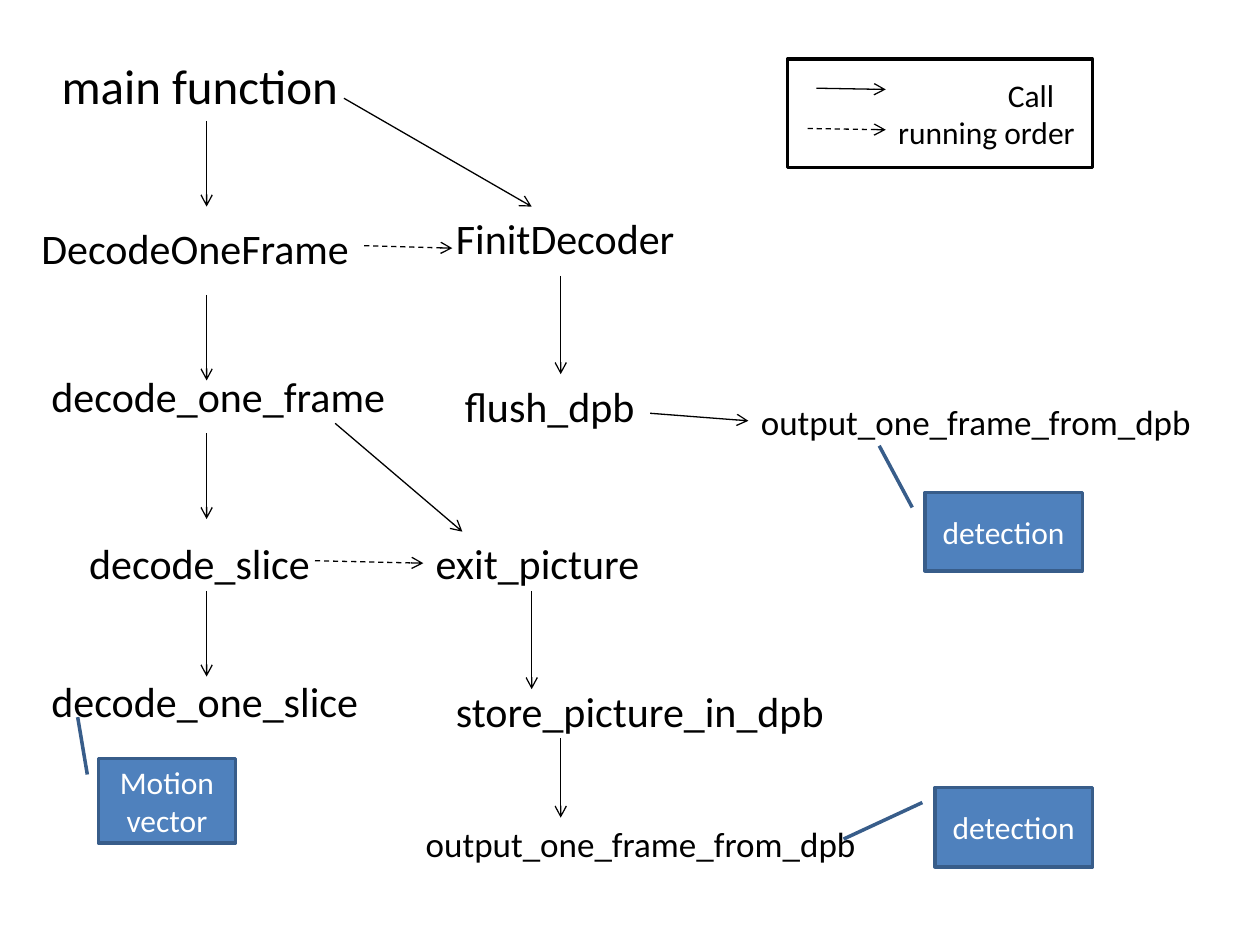
from pptx import Presentation
from pptx.dml.color import RGBColor
from pptx.enum.dml import MSO_LINE
from pptx.enum.shapes import MSO_CONNECTOR, MSO_SHAPE
from pptx.enum.text import MSO_ANCHOR, PP_ALIGN
from pptx.oxml.ns import qn
from pptx.util import Inches, Pt
from lxml.etree import SubElement

COLORS = {"ink": "000000", "paper": "FFFFFF", "note": "4F81BD", "note_edge": "385D8A"}

# text, left, top, width, size
FUNCTIONS = [
    ("main function", 0.39, 0.39, 2.5, 28),
    ("DecodeOneFrame", 0.23, 1.72, 3.13, 24),
    ("decode_one_frame", 0.31, 2.89, 2.89, 24),
    ("decode_slice", 0.61, 4.22, 2.5, 24),
    ("decode_one_slice", 0.31, 5.31, 2.73, 24),
    ("FinitDecoder", 3.52, 1.64, 2.5, 24),
    ("flush_dpb", 3.59, 2.97, 1.88, 24),
    ("exit_picture", 3.36, 4.22, 2.42, 24),
    ("store_picture_in_dpb", 3.52, 5.39, 3.44, 24),
    ("output_one_frame_from_dpb", 3.28, 6.48, 3.75, 20),
    ("output_one_frame_from_dpb", 5.94, 3.13, 4.06, 20),
]

MAIN_X, MAIN_DROP = 1.64, 0.68
CALLS = [(MAIN_X, y, MAIN_X, y + MAIN_DROP) for y in (0.96, 2.34, 3.44, 4.69)] + [
    (2.73, 0.78, 4.22, 1.64),
    (2.66, 3.36, 3.67, 4.22),
    (4.45, 2.19, 4.45, 2.97),
    (4.22, 4.69, 4.22, 5.47),
    (4.45, 5.86, 4.45, 6.49),
    (5.16, 3.28, 5.94, 3.34),
]
RUNNING_ORDER = [(2.89, 1.95, 3.59, 1.97), (2.5, 4.45, 3.36, 4.47)]

# text, left, top, width, height, pointer end (y, x) as shares of the box
NOTES = [
    ("Motion vector", 0.78, 6.02, 1.09, 0.67, (-0.49, -0.15)),
    ("detection", 7.42, 6.25, 1.25, 0.63, (0.65, -0.58)),
    ("detection", 7.34, 3.91, 1.25, 0.62, (-0.6, -0.29)),
]


class CallGraph:
    """Holds the style and the current page."""

    font = "Calibri"

    def __init__(self, page):
        self.page = page

    def color(self, name):
        return RGBColor.from_string(COLORS[name])

    def add_text(self, para, text, size, color):
        span = para.add_run()
        span.text = text
        for key, value in {"name": self.font, "size": Pt(size)}.items():
            setattr(span.font, key, value)
        span.font.color.rgb = self.color(color)

    def function(self, text, left, top, width, size):
        height = 0.5 * size / 24
        box = self.page.shapes.add_textbox(*map(Inches, (left, top, width, height)))
        box.text_frame.word_wrap = True
        self.add_text(box.text_frame.paragraphs[0], text, size, "ink")

    def arrow(self, x1, y1, x2, y2, dashed=False):
        line = self.page.shapes.add_connector(
            MSO_CONNECTOR.STRAIGHT, *map(Inches, (x1, y1, x2, y2)))
        line.line.color.rgb = self.color("ink")
        line.line.width = Pt(0.75)
        if dashed:
            line.line.dash_style = MSO_LINE.DASH
        properties = line._element.spPr
        SubElement(properties.find(qn("a:ln")), qn("a:tailEnd"), type="arrow")
        SubElement(properties, qn("a:effectLst"))

    def panel(self, kind, left, top, width, height, fill, edge):
        """Add a filled, outlined shape with its text in the middle."""
        shape = self.page.shapes.add_shape(
            kind, *map(Inches, (left, top, width, height)))
        shape.shadow.inherit = False
        shape.fill.solid()
        shape.fill.fore_color.rgb = self.color(fill)
        shape.line.color.rgb = self.color(edge)
        shape.line.width = Pt(2)
        shape.text_frame.word_wrap = True
        shape.text_frame.vertical_anchor = MSO_ANCHOR.MIDDLE
        return shape

    def note(self, text, left, top, width, height, pointer):
        shape = self.panel(MSO_SHAPE.LINE_CALLOUT_1, left, top, width, height,
                           "note", "note_edge")
        for index, value in enumerate((0.19, -0.08, *pointer)):
            shape.adjustments[index] = value
        para = shape.text_frame.paragraphs[0]
        para.alignment = PP_ALIGN.CENTER
        self.add_text(para, text, 18, "paper")

    def legend(self):
        shape = self.panel(MSO_SHAPE.RECTANGLE, 6.25, 0.47, 2.42, 0.86, "paper", "ink")
        frame = shape.text_frame
        frame.margin_right = 0
        entries = [("Call", 1.65), ("running order", 0.78)]
        for para, (text, indent) in zip(
                (frame.paragraphs[0], frame.add_paragraph()), entries):
            para.alignment = PP_ALIGN.LEFT
            para._p.get_or_add_pPr().set("marL", str(Inches(indent)))
            self.add_text(para, text, 18, "ink")
        self.arrow(6.48, 0.7, 7.03, 0.71)
        self.arrow(6.41, 1.02, 7.03, 1.03, dashed=True)


def main():
    deck = Presentation()
    deck.slide_width, deck.slide_height = Inches(10), Inches(7.5)
    graph = CallGraph(deck.slides.add_slide(deck.slide_layouts[6]))
    for function in FUNCTIONS:
        graph.function(*function)
    for ends in CALLS:
        graph.arrow(*ends)
    for ends in RUNNING_ORDER:
        graph.arrow(*ends, dashed=True)
    for note in NOTES:
        graph.note(*note)
    graph.legend()
    deck.save("out.pptx")


if __name__ == "__main__":
    main()
